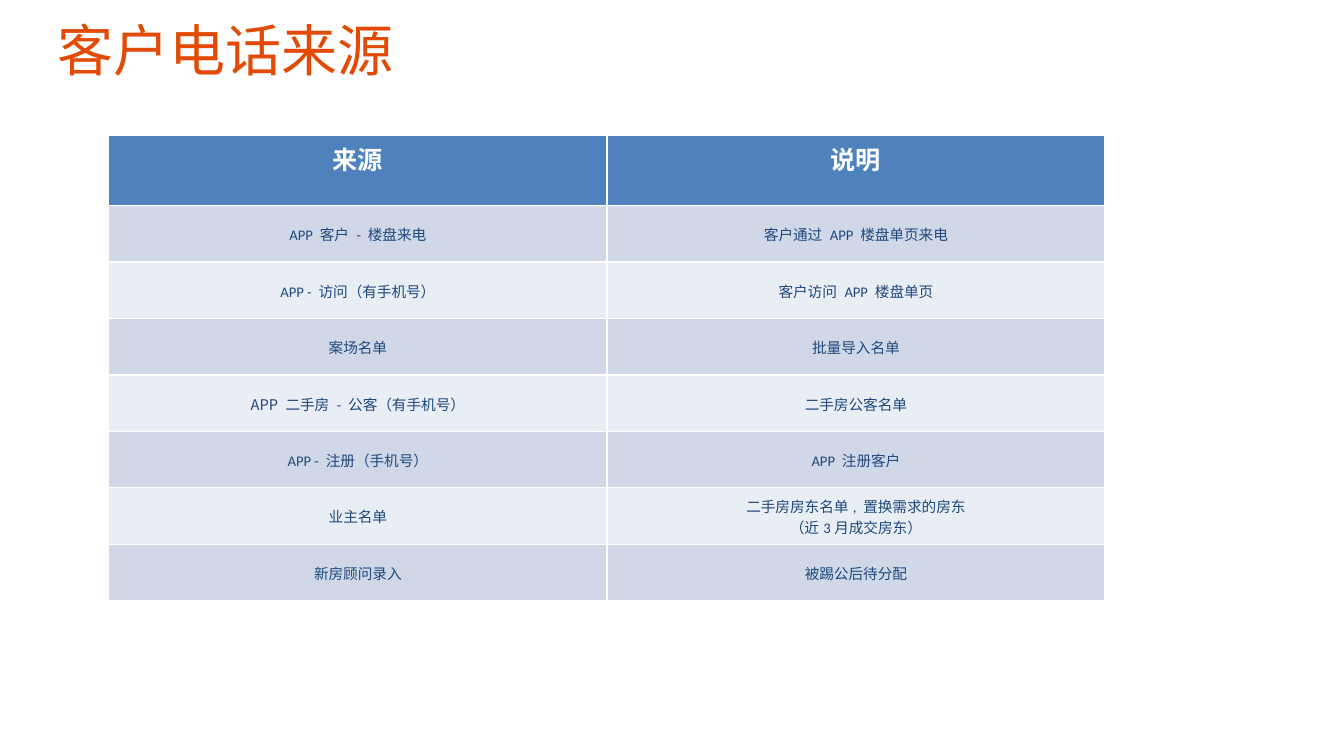
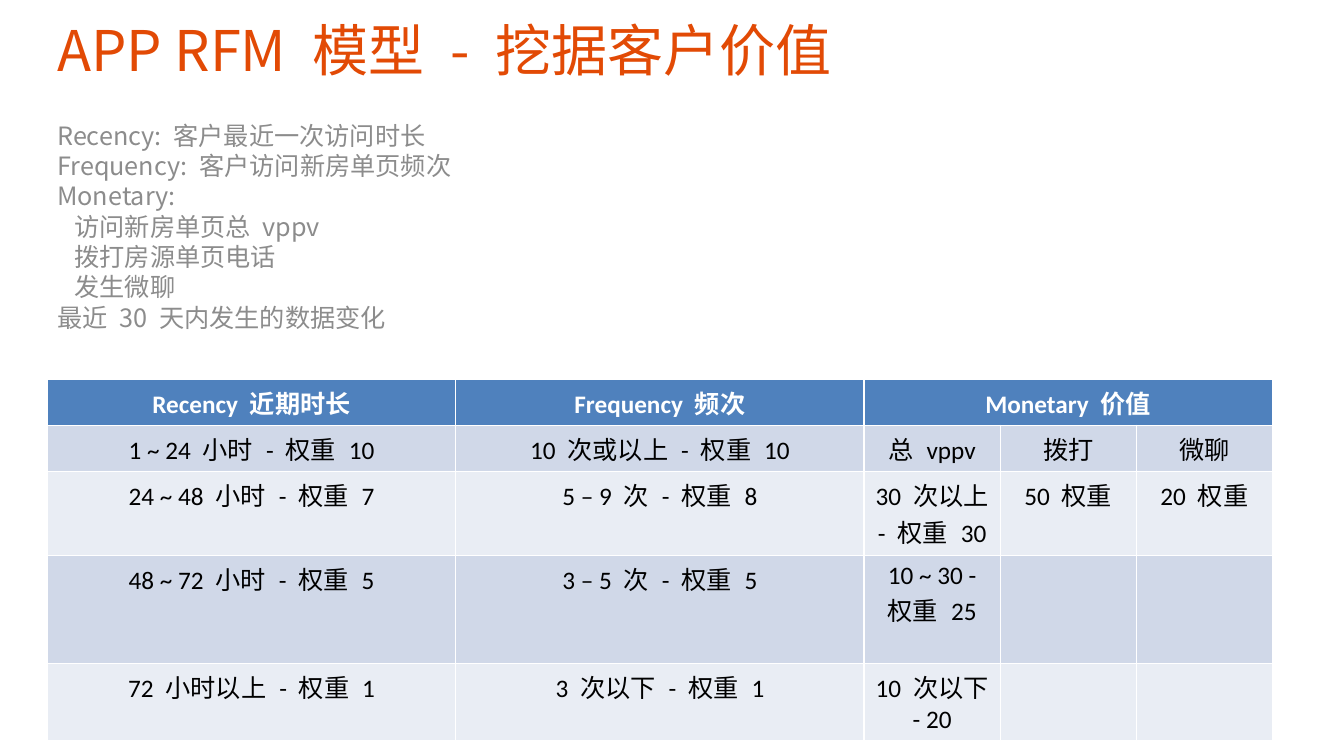
from lxml.etree import SubElement
from pptx import Presentation
from pptx.dml.color import RGBColor
from pptx.enum.text import MSO_ANCHOR as Anchor, PP_ALIGN as Align
from pptx.oxml.ns import qn
from pptx.util import Inches, Pt

LATIN_FONT = "Calibri"
CJK_FONT = "Noto Sans CJK SC"
ORANGE, GREY, NAVY = "E24A05", "8C8C8C", "1F497D"
WHITE, BLACK = "FFFFFF", "000000"
HEADER_FILL = "4F81BD"
BAND_FILLS = ("D0D8E8", "E9EDF4")
LEFT = 0.47

# In a cell, "|" switches between the Latin and the CJK font.
SOURCE_ROWS = [
    ["来源", "说明"],
    ["APP 客户 - |楼盘来电", "|客户通过 |APP |楼盘单页来电"],
    ["APP - 访问|（有手机号）", "|客户访问 |APP |楼盘单页"],
    ["|案场名单", "|批量导入名单"],
    ["|APP 二手房 |- |公客（有手机号）", "|二手房公客名单"],
    ["APP - |注册（手机号）", "APP |注册客户"],
    ["|业主名单", "|二手房房东名单|, 置换需求的房东\n|（近|3|月成交房东）"],
    ["|新房顾问录入", "|被踢公后待分配"],
]
RFM_ROWS = [
    ["Recency 近期时长", "Frequency 频次", "Monetary 价值", "", ""],
    ["1 ~ 24 小时 - 权重 10", "10 次或以上 - 权重 10", "总 vppv", "拨打", "微聊"],
    ["24 ~ 48 小时 - 权重 7", "5 – 9 次 - 权重 8", "30 次以上 - 权重 30",
     "50 权重", "20 权重"],
    ["48 ~ 72 小时 - 权重 5", "3 – 5 次 - 权重 5", "10 ~ 30 - 权重 25", "", ""],
    ["72 小时以上 - 权重 1", "3 次以下 - 权重 1", "10 次以下 - 20", "", ""],
]
RFM_NOTES = [  # text, indent level
    ("Recency: 客户最近一次访问时长", 0),
    ("Frequency: 客户访问新房单页频次", 0),
    ("Monetary:", 0),
    ("访问新房单页总 vppv", 1),
    ("拨打房源单页电话", 1),
    ("发生微聊", 1),
    ("最近 30 天内发生的数据变化", 0),
]


def rgb(value):
    return RGBColor.from_string(value)


def style_paragraph(para, name, size, color, bold=False):
    font = para.font
    font.name, font.size, font.bold = name, Pt(size), bold
    font.color.rgb = rgb(color)
    properties = para._p.get_or_add_pPr().get_or_add_defRPr()
    SubElement(properties, qn("a:ea")).set("typeface", CJK_FONT)


def add_text(page, left, top, width, height, lines, size, color, spacing):
    """Add a text box; lines are (text, indent level) pairs."""
    box = page.shapes.add_textbox(*map(Inches, (left, top, width, height)))
    frame = box.text_frame
    frame.word_wrap = True
    for index, (text, level) in enumerate(lines):
        para = frame.add_paragraph() if index else frame.paragraphs[0]
        para.text = text
        para.line_spacing = spacing
        if level:
            para._p.get_or_add_pPr().set("marL", str(Inches(0.17) * level))
        style_paragraph(para, CJK_FONT, size, color)


def add_page(deck, title):
    page = deck.slides.add_slide(deck.slide_layouts[6])
    add_text(page, LEFT, 0.18, 11.33, 0.94, [(title, 0)], 40, ORANGE, 0.9)
    return page


def fill_cell(cell, text, fill, size, color, bold):
    cell.fill.solid()
    cell.fill.fore_color.rgb = rgb(fill)
    frame = cell.text_frame
    for index, line in enumerate(text.split("\n")):
        para = frame.add_paragraph() if index else frame.paragraphs[0]
        para.alignment = Align.CENTER
        style_paragraph(para, LATIN_FONT, size, color, bold)
        for position, part in enumerate(line.split("|")):
            if part:
                span = para.add_run()
                span.text = part
                if position % 2:
                    span.font.name = CJK_FONT


def add_grid(page, left, top, widths, heights, rows, size, color):
    """Add a table with a header row and banded body rows."""
    area = map(Inches, (left, top, sum(widths), sum(heights)))
    table = page.shapes.add_table(len(rows), len(widths), *area).table
    for column, width in zip(table.columns, widths):
        column.width = Inches(width)
    for r, (row, height, texts) in enumerate(zip(table.rows, heights, rows)):
        row.height = Inches(height)
        for cell, text in zip(row.cells, texts):
            if r == 0:
                fill_cell(cell, text, HEADER_FILL, 18, WHITE, True)
            else:
                fill_cell(cell, text, BAND_FILLS[(r - 1) % 2], size, color, False)
    return table


def center_body(table):
    """Centre the body rows vertically, with tight margins."""
    for row in list(table.rows)[1:]:
        for cell in row.cells:
            cell.vertical_anchor = Anchor.MIDDLE
            cell.margin_left = cell.margin_right = Inches(0.07)
            cell.margin_top, cell.margin_bottom = Inches(0.01), 0


def build_source_page(deck):
    page = add_page(deck, "客户电话来源")
    heights = [0.7] + [0.56] * (len(SOURCE_ROWS) - 1)
    table = add_grid(page, 1.08, 1.34, [4.94] * 2, heights, SOURCE_ROWS, 10.5, NAVY)
    center_body(table)


def build_rfm_page(deck):
    page = add_page(deck, "APP RFM 模型 - 挖据客户价值")
    add_text(page, LEFT, 1.14, 9.2, 2.5, RFM_NOTES, 18, GREY, Pt(21.67))
    widths = [4.05] * 2 + [1.35] * 3
    heights = [0.46, 0.46, 0.83, 1.07, 0.77]
    table = add_grid(page, LEFT, 3.76, widths, heights, RFM_ROWS, 18, BLACK)
    table.cell(0, 2).merge(table.cell(0, 4))


def main():
    deck = Presentation()
    deck.slide_width, deck.slide_height = Inches(13.33), Inches(7.5)
    build_source_page(deck)
    build_rfm_page(deck)
    deck.save("out.pptx")


if __name__ == "__main__":
    main()
